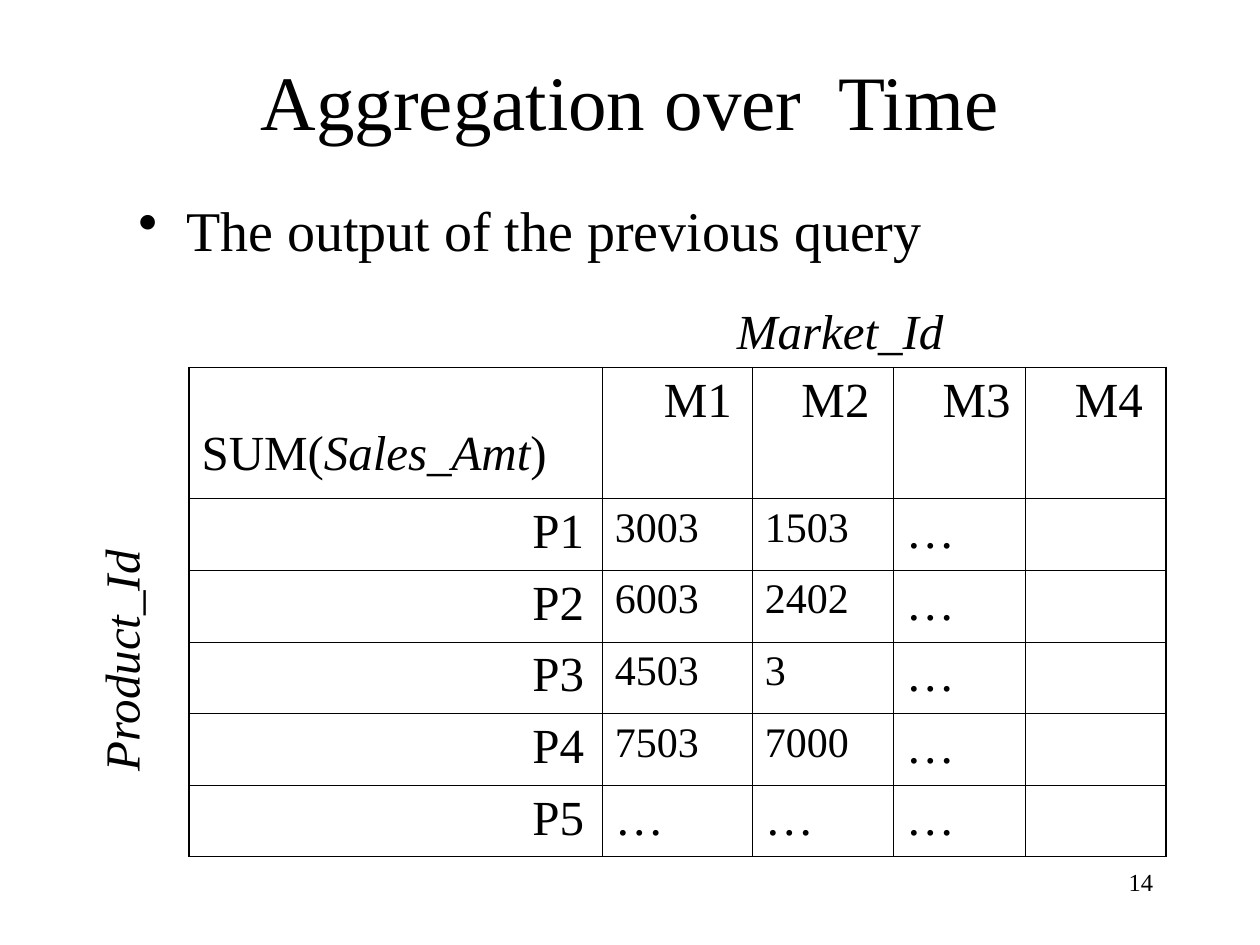
from lxml import etree
from pptx import Presentation
from pptx import util as u
from pptx.dml.color import RGBColor
from pptx.enum import text as t
from pptx.oxml import ns

BLACK = RGBColor(0, 0, 0)
FONT = "Times New Roman"
GRID = u.Inches(1) / 12
COLUMNS = (39.36, 14.28, 13.44, 12.6, 13.36)
ROWS = (12.5,) + (6.82,) * 5
THIN, THICK = 0.45, 1.08
SPACE = u.Pt(7)
HEADINGS = ("M1", "M2", "M3", "M4")
SALES = (
    ("P1", "3003", "1503", "…", ""),
    ("P2", "6003", "2402", "…", ""),
    ("P3", "4503", "3", "…", ""),
    ("P4", "7503", "7000", "…", ""),
    ("P5", "…", "…", "…", ""),
)


def grid(*units):
    """Turn grid units into lengths."""
    return [u.Emu(round(unit * GRID)) for unit in units]


def style(font, size, italic=False):
    """Set the slide's typeface in the given size."""
    font.name, font.size, font.italic = FONT, u.Pt(size), italic
    font.color.rgb = BLACK


def write(paragraph, wording, size, italic=False):
    """Put one styled wording in a paragraph."""
    paragraph.text = wording
    for run in paragraph.runs:
        style(run.font, size, italic)


def add_label(slide, box, wording, size, align=t.PP_ALIGN.LEFT,
              anchor=t.MSO_ANCHOR.TOP, italic=False, wrap=True):
    """Add a line of text in a grid box."""
    label = slide.shapes.add_textbox(*grid(*box))
    frame = label.text_frame
    frame.word_wrap, frame.vertical_anchor = wrap, anchor
    write(frame.paragraphs[0], wording, size, italic)
    frame.paragraphs[0].alignment = align
    return label


def add_bullet(slide, box, wording):
    """Add the bulleted statement with a hanging indent."""
    statement = add_label(slide, box, wording, 32)
    properties = statement.text_frame.paragraphs[0]._p.get_or_add_pPr()
    indent = u.Inches(0.38)
    properties.set("marL", str(indent))
    properties.set("indent", str(-indent))
    etree.SubElement(properties, ns.qn("a:buChar")).set("char", "•")


def draw_borders(cell, row, column):
    """Draw thick lines on the table's outside and thin ones inside."""
    outside = {
        "L": column == 0,
        "R": column == len(COLUMNS) - 1,
        "T": row == 0,
        "B": row == len(ROWS) - 1,
    }
    properties = cell._tc.get_or_add_tcPr()
    for place, (side, outer) in enumerate(outside.items()):
        line = etree.Element(ns.qn(f"a:ln{side}"))
        line.set("w", str(u.Pt(THICK if outer else THIN)))
        fill = etree.SubElement(line, ns.qn("a:solidFill"))
        etree.SubElement(fill, ns.qn("a:srgbClr")).set("val", str(BLACK))
        properties.insert(place, line)


def write_corner(cell):
    """Write the measure at the foot of the corner cell."""
    cell.vertical_anchor = t.MSO_ANCHOR.BOTTOM
    cell.margin_bottom = u.Inches(0.14)
    measure = cell.text_frame.paragraphs[0]
    for wording, italic in (("SUM(", False), ("Sales_Amt", True), (")", False)):
        run = measure.add_run()
        run.text = wording
        style(run.font, 28, italic)


def add_sales_table(slide, box):
    """Add the table of sales by product and market."""
    left, top = box
    table = slide.shapes.add_table(
        len(ROWS), len(COLUMNS), *grid(left, top, sum(COLUMNS), sum(ROWS))).table
    table.first_row = table.horz_banding = False
    for column, width in zip(table.columns, grid(*COLUMNS)):
        column.width = width
    for row, height in zip(table.rows, grid(*ROWS)):
        row.height = height
    for r, values in enumerate((("",) + HEADINGS,) + SALES):
        for c, value in enumerate(values):
            cell = table.cell(r, c)
            cell.fill.background()
            draw_borders(cell, r, c)
            write(cell.text_frame.paragraphs[0], value, 24 if value.isdigit() else 28)
            if r == 0 and c:
                cell.margin_left = u.Inches(0.1) + SPACE * (4 if c == 1 else 3)
            elif r and c == 0:
                cell.margin_left = u.Inches(0.1) + SPACE * 27
    write_corner(table.cell(0, 0))


def main():
    """Build the slide and save it."""
    deck = Presentation()
    deck.slide_width, deck.slide_height = grid(120, 90)
    slide = deck.slides.add_slide(deck.slide_layouts[6])
    add_label(slide, (86, 82, 25, 6), "14", 14, t.PP_ALIGN.RIGHT)
    add_label(slide, (9, 5, 102, 9), "Aggregation over  Time", 44,
              t.PP_ALIGN.CENTER, t.MSO_ANCHOR.MIDDLE)
    add_bullet(slide, (12, 18, 101, 8), "The output of the previous query")
    add_sales_table(slide, (18, 35))
    add_label(slide, (69, 28, 24, 6.84), "Market_Id", 28, italic=True)
    product = add_label(slide, (-0.36, 59.4, 23.64, 6.84), "Product_Id", 28,
                        italic=True, wrap=False)
    product.rotation = 270
    deck.save("out.pptx")


if __name__ == "__main__":
    main()
